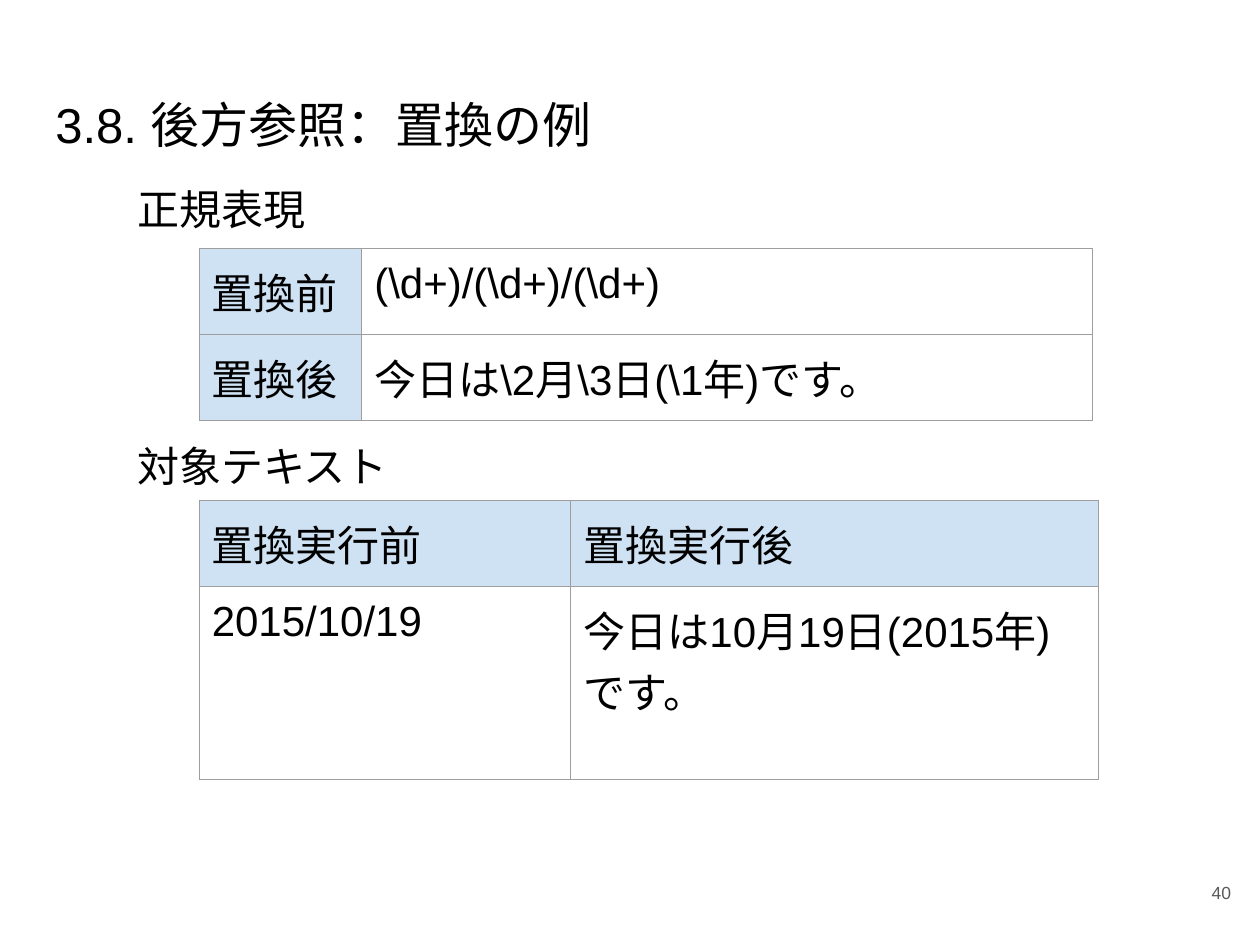
from pptx import Presentation
from pptx.dml.color import RGBColor
from pptx.enum import text
from pptx.oxml import parse_xml
from pptx.oxml import ns
from pptx.util import Pt


def color(value):
    return RGBColor.from_string(value)


class SlideBuilder:
    font_name = "Arial"
    ink = "000000"
    header_fill = "CFE2F3"
    border = "9E9E9E"
    border_width = 0.75
    inset = 7.2
    body_size = 24

    def __init__(self, presentation):
        self.slide = presentation.slides.add_slide(presentation.slide_layouts[5])

    def set_text(self, frame, content, size, ink=ink, align=text.PP_ALIGN.LEFT):
        frame.text = content
        paragraph = frame.paragraphs[0]
        paragraph.alignment = align
        font = paragraph.font
        font.name, font.size, font.bold = self.font_name, Pt(size), False
        font.color.rgb = color(ink)

    def set_margins(self, target):
        target.margin_left = target.margin_right = Pt(self.inset)
        target.margin_top = target.margin_bottom = Pt(self.inset)

    def prepare(self, frame, anchor):
        frame.word_wrap = True
        frame.auto_size = text.MSO_AUTO_SIZE.NONE
        frame.vertical_anchor = anchor
        self.set_margins(frame)

    def title(self, content, left, top, width, height):
        shape = self.slide.shapes.title
        shape.left, shape.top = Pt(left), Pt(top)
        shape.width, shape.height = Pt(width), Pt(height)
        self.prepare(shape.text_frame, text.MSO_ANCHOR.TOP)
        self.set_text(shape.text_frame, content, 28)

    def label(self, content, left, top, width, height, size=body_size, ink=ink,
              align=text.PP_ALIGN.LEFT, anchor=text.MSO_ANCHOR.TOP):
        shape = self.slide.shapes.add_textbox(Pt(left), Pt(top), Pt(width), Pt(height))
        self.prepare(shape.text_frame, anchor)
        self.set_text(shape.text_frame, content, size, ink, align)

    def add_borders(self, cell):
        properties = cell._tc.get_or_add_tcPr()
        for index, side in enumerate(("lnL", "lnR", "lnT", "lnB")):
            properties.insert(index, parse_xml(
                f'<a:{side} {ns.nsdecls("a")} w="{Pt(self.border_width)}">'
                f'<a:solidFill><a:srgbClr val="{self.border}"/></a:solidFill></a:{side}>'))

    def table(self, rows, left, top, widths, heights, headers):
        table = self.slide.shapes.add_table(
            len(rows), len(widths), Pt(left), Pt(top),
            Pt(sum(widths)), Pt(sum(heights))).table
        table.first_row = table.horz_banding = False
        for column, width in zip(table.columns, widths):
            column.width = Pt(width)
        for r, (contents, height) in enumerate(zip(rows, heights)):
            table.rows[r].height = Pt(height)
            for c, content in enumerate(contents):
                cell = table.cell(r, c)
                self.set_margins(cell)
                self.set_text(cell.text_frame, content, self.body_size)
                if (r, c) in headers:
                    cell.fill.solid()
                    cell.fill.fore_color.rgb = color(self.header_fill)
                else:
                    cell.fill.background()
                self.add_borders(cell)


def main():
    presentation = Presentation()
    presentation.slide_width, presentation.slide_height = Pt(720), Pt(540)
    builder = SlideBuilder(presentation)

    builder.title("3.8. 後方参照：置換の例", 24.5, 46.8, 671, 59.8)
    builder.label("40", 667.4, 489.6, 43.2, 41, size=10, ink="595959",
                  align=text.PP_ALIGN.RIGHT, anchor=text.MSO_ANCHOR.MIDDLE)

    for heading, top in (("正規表現", 97.9), ("対象テキスト", 244.8)):
        builder.label(heading, 71.3, top, 226.8, 50.4)

    builder.table(
        [("置換前", r"(\d+)/(\d+)/(\d+)"),
         ("置換後", r"今日は\2月\3日(\1年)です。")],
        113.8, 141.8, (92.9, 417.6), (38.2, 43.2), {(0, 0), (1, 0)})
    builder.table(
        [("置換実行前", "置換実行後"),
         ("2015/10/19", "今日は10月19日(2015年)です。")],
        113.8, 285.8, (212.4, 301.7), (39.6, 110.2), {(0, 0), (0, 1)})

    presentation.save("out.pptx")


if __name__ == "__main__":
    main()
